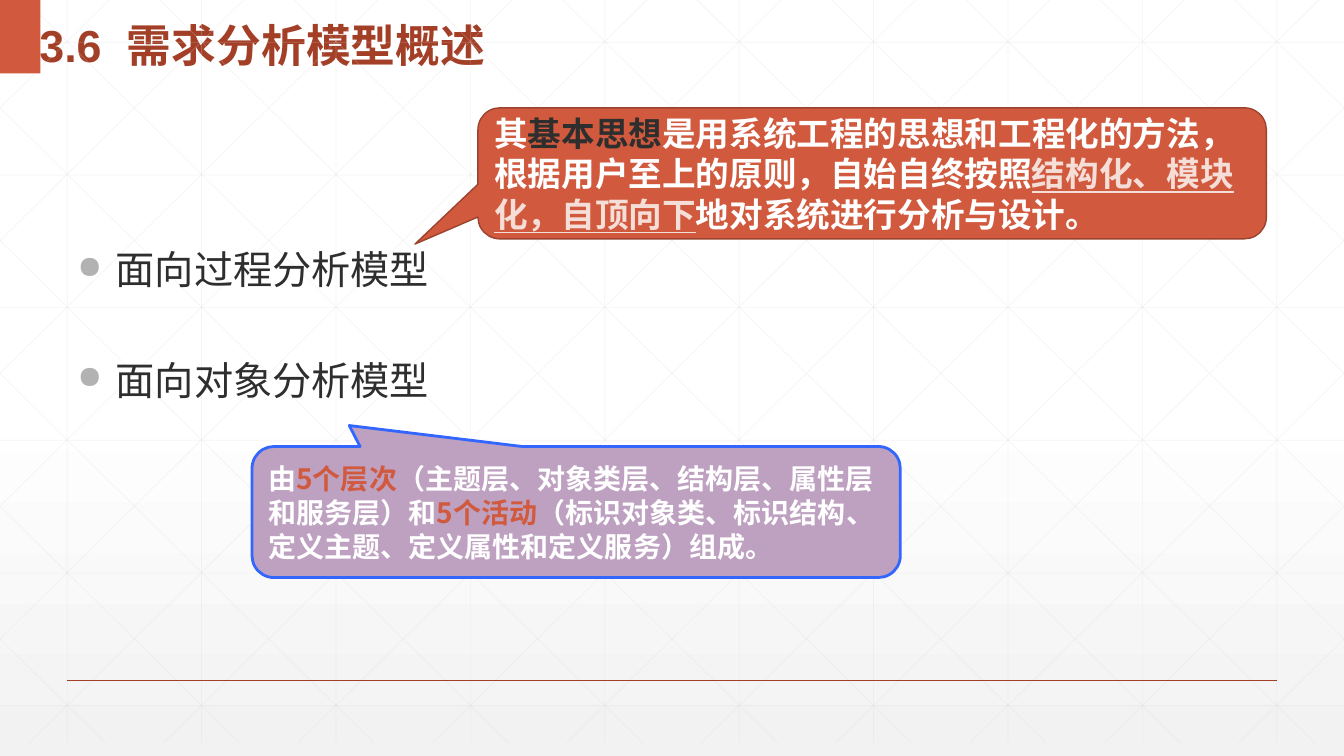
from lxml import etree
from pptx import Presentation
from pptx import util as u
from pptx.dml.color import RGBColor
from pptx.enum import shapes, text
from pptx.oxml.ns import qn

WIDTH, HEIGHT = 13.33, 7.5
CJK = "Noto Sans CJK SC"
COLORS = {
    "white": "FFFFFF", "fade": "F2F2F2", "grid": "D9D9D9", "brick": "D15A3E",
    "rust": "A43F27", "edge": "9B432E", "ink": "2D2E2D", "bullet": "B2B2B2",
    "blush": "F6DED8", "mauve": "BEA1C1", "blue": "3366FF",
}


def color(name):
    """Return a named colour of the slide."""
    return RGBColor.from_string(COLORS[name])


def inches(*lengths):
    """Convert lengths to slide units."""
    return [u.Inches(length) for length in lengths]


def add_span(para, words, size, font, tint, bold=True, underline=False):
    """Append one formatted run with its East Asian font."""
    span = para.add_run()
    span.text = words
    span.font.size, span.font.name = u.Pt(size), font
    span.font.bold, span.font.underline = bold, underline
    span.font.color.rgb = color(tint)
    latin = span._r.get_or_add_rPr().find(qn("a:latin"))
    east = etree.Element(qn("a:ea"), typeface=CJK)
    latin.addnext(east)
    return span


def add_line(parent, start, end, tint, width, alpha=None):
    """Draw a flat straight line between two points."""
    line = parent.shapes.add_connector(
        shapes.MSO_CONNECTOR.STRAIGHT, *inches(*start, *end))
    line.line.color.rgb = color(tint)
    line.line.width = u.Pt(width)
    properties = line._element.spPr
    etree.SubElement(properties, qn("a:effectLst"))
    if alpha:
        shade = properties.find(".//" + qn("a:srgbClr"))
        etree.SubElement(shade, qn("a:alpha"), val=str(alpha * 1000))


def draw_backdrop(page):
    """Paint the fading background and its square and diagonal grid."""
    fill = page.background.fill
    fill.gradient()
    fill.gradient_angle = 270
    for stop, position, tint in zip(fill.gradient_stops, (0.53, 1), ("white", "fade")):
        stop.position = position
        stop.color.rgb = color(tint)

    column, row, bottom, slope = WIDTH / 10, 1.316, 7.37, 1.012
    lines = [((column * (i + 0.5), 0), (column * (i + 0.5), bottom)) for i in range(10)]
    lines += [((0, 0.42 + row * i), (WIDTH, 0.42 + row * i)) for i in range(6)]
    for i in range(-5, 10):
        origin = 0.25 + column * i
        top = max(0, -origin / slope)
        low = min(bottom, (WIDTH - origin) / slope)
        start, end = [(origin + slope * y, y) for y in (top, low)]
        lines += [(start, end), ((WIDTH - start[0], start[1]), (WIDTH - end[0], end[1]))]
    grid = page.shapes.add_group_shape()
    for start, end in lines:
        add_line(grid, start, end, "grid", 0.5, 25)


def draw_frame(page):
    """Add the corner block and the footer rule."""
    add_line(page, (WIDTH * 0.05, HEIGHT * 0.9), (WIDTH * 0.95, HEIGHT * 0.9), "rust", 1)
    corner = page.shapes.add_shape(shapes.MSO_SHAPE.RECTANGLE, *inches(0, 0, 0.4, 0.73))
    corner.shadow.inherit = False
    corner.fill.solid()
    corner.fill.fore_color.rgb = color("brick")
    corner.line.fill.background()


def write_title(page, box):
    """Place and format the slide heading."""
    title = page.shapes.title
    title.left, title.top, title.width, title.height = inches(*box)
    frame = title.text_frame
    frame.auto_size = text.MSO_AUTO_SIZE.NONE
    frame.vertical_anchor = text.MSO_ANCHOR.MIDDLE
    para = frame.paragraphs[0]
    para.alignment = text.PP_ALIGN.LEFT
    para.line_spacing = 1.3
    add_span(para, "3.6", 32, "Arial", "rust")
    gap = add_span(para, " ", 32, "Arial", "rust")
    gap._r.get_or_add_rPr().set("spc", "900")
    add_span(para, "需求分析模型概述", 32, "Arial", "rust")


def write_models(page, box, models):
    """List the analysis models as widely spaced bullets."""
    frame = page.shapes.add_textbox(*inches(*box)).text_frame
    frame.word_wrap = True
    for i, model in enumerate(models):
        para = frame.add_paragraph() if i else frame.paragraphs[0]
        para.line_spacing = u.Pt(34)
        para.space_before = u.Pt(45 if i else 0)
        properties = para._p.get_or_add_pPr()
        properties.set("marL", str(u.Inches(0.38)))
        properties.set("indent", str(-u.Inches(0.38)))
        tint = etree.SubElement(properties, qn("a:buClr"))
        etree.SubElement(tint, qn("a:srgbClr"), val=COLORS["bullet"])
        etree.SubElement(properties, qn("a:buSzPct"), val="80000")
        etree.SubElement(properties, qn("a:buChar"), char="●")
        add_span(para, model, 28, CJK, "ink", bold=False)


def draw_callout(page, box, tip, fill, edge, width, size, font, spans):
    """Draw a rounded speech callout holding mixed-colour text."""
    callout = page.shapes.add_shape(
        shapes.MSO_SHAPE.ROUNDED_RECTANGULAR_CALLOUT, *inches(*box))
    callout.shadow.inherit = False
    for i, value in enumerate((*tip, 0.167)):
        callout.adjustments[i] = value
    callout.fill.solid()
    callout.fill.fore_color.rgb = color(fill)
    callout.line.color.rgb = color(edge)
    callout.line.width = u.Pt(width)
    frame = callout.text_frame
    frame.word_wrap = True
    frame.vertical_anchor = text.MSO_ANCHOR.MIDDLE
    para = frame.paragraphs[0]
    para.alignment = text.PP_ALIGN.LEFT
    para.line_spacing = u.Pt(size * 1.21)
    for words, tint in spans:
        add_span(para, words, size, font, tint, underline=tint == "blush")


def build_overview(page):
    """Compose the requirements analysis model overview."""
    draw_backdrop(page)
    draw_frame(page)
    write_title(page, (0.29, 0, 6.02, 0.73))
    write_models(page, (0.67, 2.38, 12.22, 3.6), ["面向过程分析模型", "面向对象分析模型"])
    draw_callout(
        page, (4.74, 1.07, 7.82, 1.3), (-0.58, 0.54), "brick", "edge", 1,
        24, "Times New Roman", [
            ("其", "white"),
            ("基本思想", "ink"),
            ("是用系统工程的思想和工程化的方法，根据用户至上的原则，自始自终按照", "white"),
            ("结构化、模块化，自顶向下", "blush"),
            ("地对系统进行分析与设计。", "white"),
        ])
    draw_callout(
        page, (2.5, 4.43, 6.43, 1.3), (-0.35, -0.66), "mauve", "blue", 2,
        20, CJK, [
            ("由", "white"),
            ("5个层次", "brick"),
            ("（主题层、对象类层、结构层、属性层和服务层）和", "white"),
            ("5个活动", "brick"),
            ("（标识对象类、标识结构、定义主题、定义属性和定义服务）组成。", "white"),
        ])


def main():
    """Create and save the one-slide deck."""
    deck = Presentation()
    deck.slide_width, deck.slide_height = inches(WIDTH, HEIGHT)
    build_overview(deck.slides.add_slide(deck.slide_layouts[5]))
    deck.save("out.pptx")


if __name__ == "__main__":
    main()
